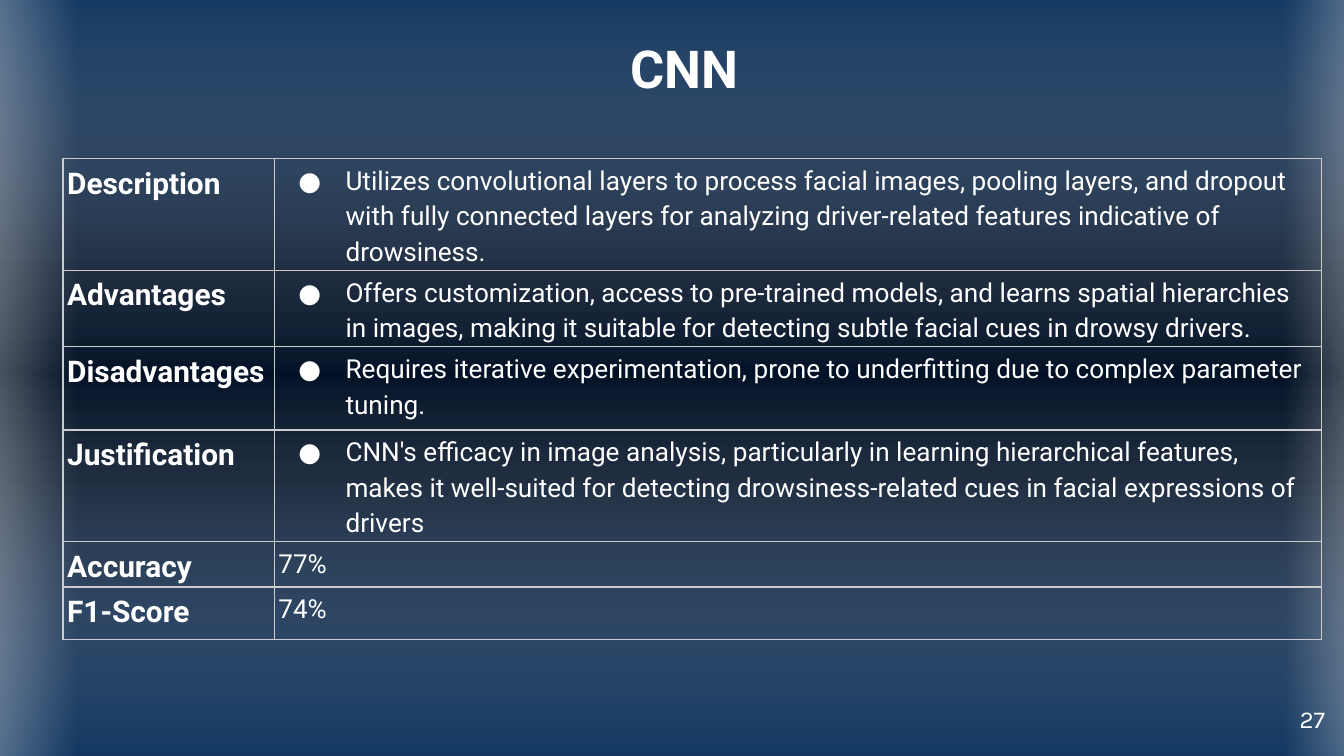
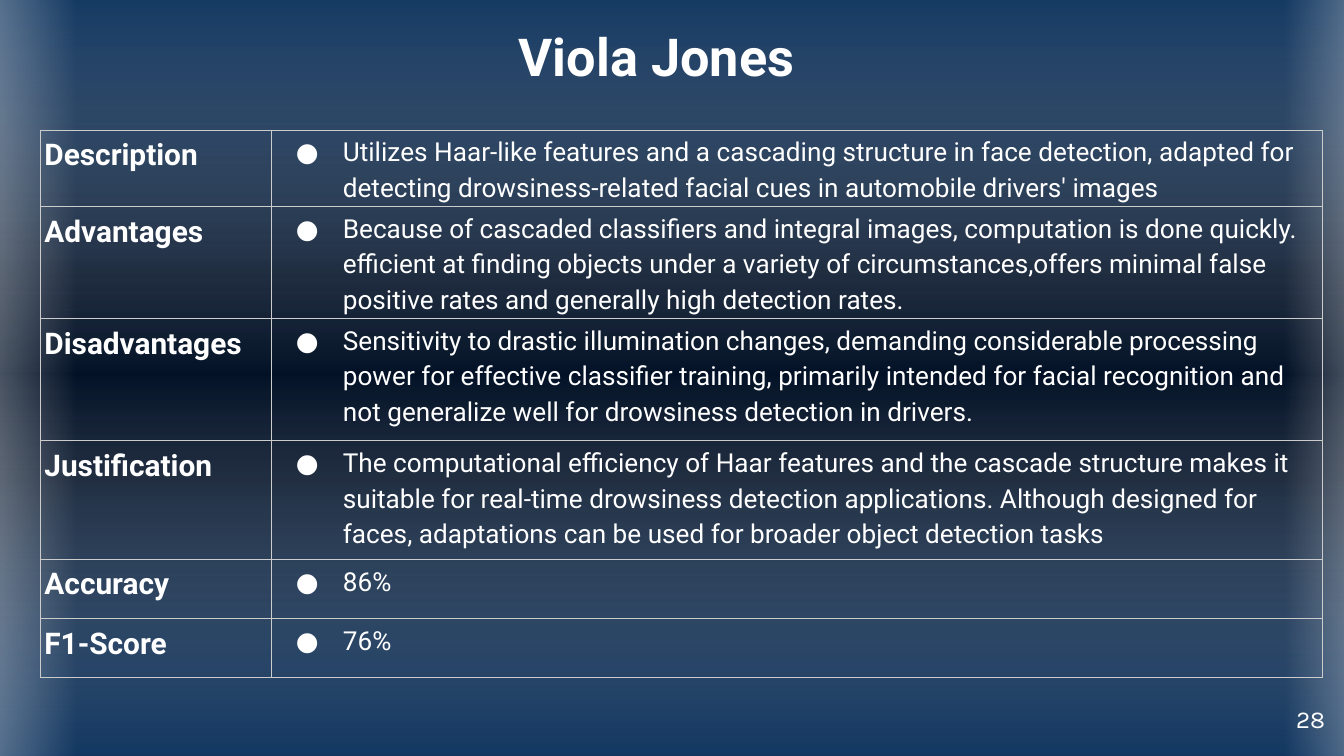
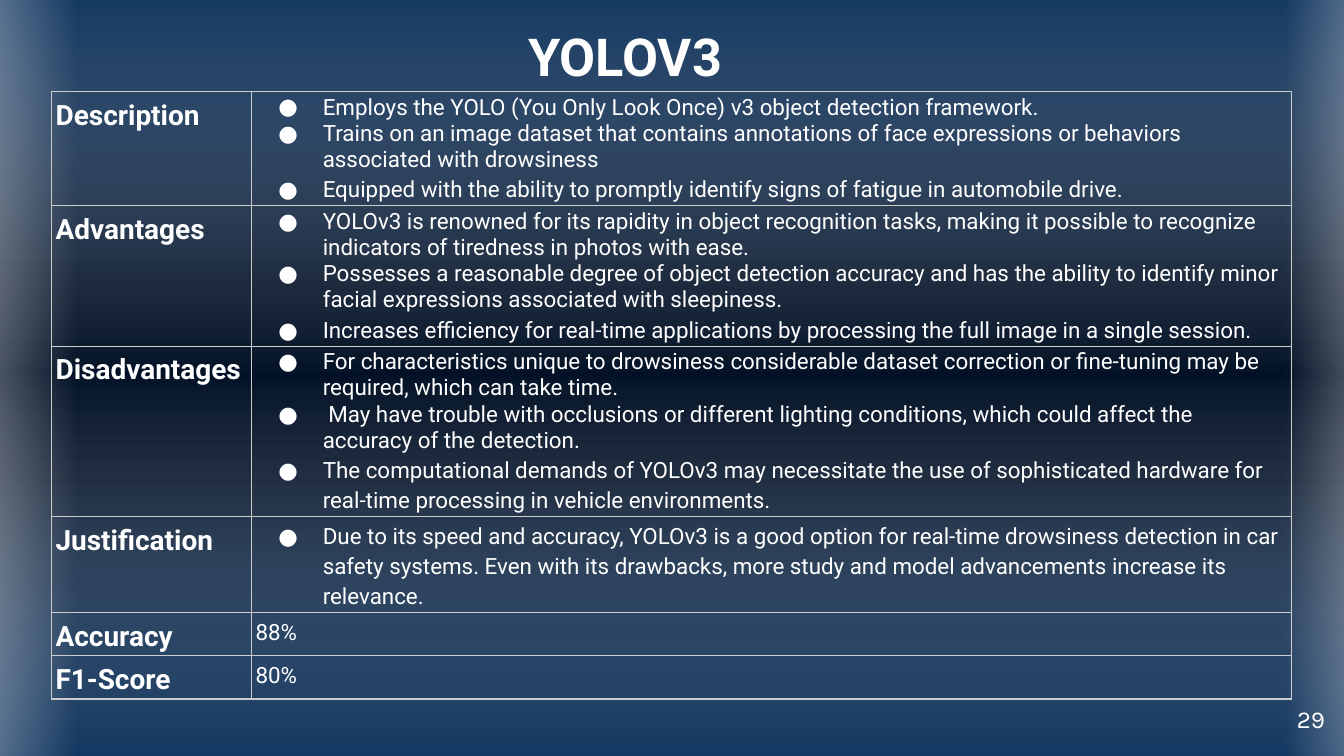
import dataclasses

import pptx
import pptx.dml.color
import pptx.enum.shapes
import pptx.enum.text
import pptx.oxml.ns
import pptx.oxml.xmlchemy
import pptx.util
from lxml import etree

Cm = pptx.util.Cm
Pt = pptx.util.Pt
qn = pptx.oxml.ns.qn
rgb = pptx.dml.color.RGBColor.from_string


@dataclasses.dataclass(frozen=True)
class Theme:
    white: str = "FFFFFF"
    blue: str = "10355F"
    night: str = "031126"
    rule: str = "CCCCCC"
    body_font: str = "Roboto"
    number_font: str = "Karla"
    title_size: float = 28
    number_size: float = 13
    rule_width: float = 0.67
    line_spacing: float = 1.15


@dataclasses.dataclass
class Method:
    """One classification method: its title, table geometry in cm, and table values."""
    title: str
    title_frame: tuple
    table_corner: tuple
    columns: tuple
    rows: tuple
    values: tuple
    label_size: float = 16
    value_size: float = 14
    hanging: float = 0.89


LABELS = ("Description", "Advantages", "Disadvantages", "Justification", "Accuracy", "F1-Score")
FIRST_NUMBER = 27

# A list is shown with bullets, a plain string without.
METHODS = (
    Method(
        title="CNN",
        title_frame=(11.66, 0.36, 2.97, 1.85),
        table_corner=(1.19, 3),
        columns=(3.99, 19.79),
        rows=(2.03, 0.99, 1.57, 1.32, 0.28, 0.99),
        values=(
            ["Utilizes convolutional layers to process facial images, pooling layers, and dropout "
             "with fully connected layers for analyzing driver-related features indicative of "
             "drowsiness."],
            ["Offers customization, access to pre-trained models, and learns spatial hierarchies "
             "in images, making it suitable for detecting subtle facial cues in drowsy drivers."],
            ["Requires iterative experimentation, prone to underfitting due to complex parameter "
             "tuning."],
            ["CNN's efficacy in image analysis, particularly in learning hierarchical features, "
             "makes it well-suited for detecting drowsiness-related cues in facial expressions of "
             "drivers"],
            "77%",
            "74%",
        ),
    ),
    Method(
        title="Viola Jones",
        title_frame=(9.55, 0.36, 5.92, 1.4),
        table_corner=(0.76, 2.46),
        columns=(4.37, 19.86),
        rows=(1.45, 2.11, 2.31, 2.24, 1.12, 1.12),
        values=(
            ["Utilizes Haar-like features and a cascading structure in face detection, adapted for "
             "detecting drowsiness-related facial cues in automobile drivers' images"],
            ["Because of cascaded classifiers and integral images, computation is done quickly. "
             "efficient at finding objects under a variety of circumstances,offers minimal false "
             "positive rates and generally high detection rates."],
            ["Sensitivity to drastic illumination changes, demanding considerable processing "
             "power for effective classifier training, primarily intended for facial recognition "
             "and not generalize well for drowsiness detection in drivers."],
            ["The computational efficiency of Haar features and the cascade structure makes it "
             "suitable for real-time drowsiness detection applications. Although designed for "
             "faces, adaptations can be used for broader object detection tasks"],
            ["86%"],
            ["76%"],
        ),
    ),
    Method(
        title="YOLOV3",
        title_frame=(9.73, 0, 4.83, 2.11),
        table_corner=(0.97, 1.73),
        columns=(3.78, 19.66),
        rows=(1.52, 2.46, 2.59, 1.22, 0.61, 0.61),
        label_size=15,
        value_size=12,
        hanging=0.84,
        values=(
            ["Employs the YOLO (You Only Look Once) v3 object detection framework.",
             "Trains on an image dataset that contains annotations of face expressions or "
             "behaviors associated with drowsiness",
             "Equipped with the ability to promptly identify signs of fatigue in automobile drive."],
            ["YOLOv3 is renowned for its rapidity in object recognition tasks, making it possible "
             "to recognize indicators of tiredness in photos with ease.",
             "Possesses a reasonable degree of object detection accuracy and has the ability to "
             "identify minor facial expressions associated with sleepiness.",
             "Increases efficiency for real-time applications by processing the full image in a "
             "single session."],
            ["For characteristics unique to drowsiness considerable dataset correction or "
             "fine-tuning may be required, which can take time.",
             " May have trouble with occlusions or different lighting conditions, which could "
             "affect the accuracy of the detection.",
             "The computational demands of YOLOv3 may necessitate the use of sophisticated "
             "hardware for real-time processing in vehicle environments."],
            ["Due to its speed and accuracy, YOLOv3 is a good option for real-time drowsiness "
             "detection in car safety systems. Even with its drawbacks, more study and model "
             "advancements increase its relevance."],
            "88%",
            "80%",
        ),
    ),
)


def add_child(parent, tag, **attributes):
    return etree.SubElement(parent, qn(tag), {key: str(value) for key, value in attributes.items()})


def add_color(parent, color, opacity=100):
    swatch = add_child(add_child(parent, "a:solidFill"), "a:srgbClr", val=color)
    if opacity < 100:
        add_child(swatch, "a:alpha", val=opacity * 1000)


def set_gradient(fill, element, stops, angle):
    """Fill with (position %, colour, opacity %) stops; element holds the fill."""
    fill.gradient()
    gradient = next(element.iter(qn("a:gradFill")))
    for child in list(gradient):
        gradient.remove(child)
    stop_list = add_child(gradient, "a:gsLst")
    for position, color, opacity in stops:
        stop = add_child(stop_list, "a:gs", pos=position * 1000)
        swatch = add_child(stop, "a:srgbClr", val=color)
        if opacity < 100:
            add_child(swatch, "a:alpha", val=opacity * 1000)
    add_child(gradient, "a:lin", ang=angle * 60000, scaled=0)


class Composer:
    def __init__(self, deck, theme):
        self.deck = deck
        self.theme = theme
        self.layout = deck.slide_layouts.get_by_name("Title Only")
        self.page = None

    def new_page(self):
        self.page = self.deck.slides.add_slide(self.layout)

    def style_spans(self, para, size, bold=False, font=None):
        for span in para.runs:
            span.font.name = font or self.theme.body_font
            span.font.size = Pt(size)
            span.font.bold = bold
            span.font.color.rgb = rgb(self.theme.white)

    def backdrop(self):
        """Give the shared layout its background and its three translucent bands."""
        theme = self.theme
        set_gradient(self.layout.background.fill, self.layout.element,
                     [(0, theme.blue, 100), (37, theme.night, 100),
                      (63, theme.night, 100), (100, theme.blue, 100)], 90)
        haze = [(0, theme.blue, 59), (50, theme.white, 0), (100, theme.blue, 59)]
        glow = [(0, theme.white, 47), (100, theme.white, 0)]
        bands = (((5.59, -5.92, 14.76, 25.93), 270, haze),
                 ((-1.04, -0.23, 2.49, 14.73), 180, glow),
                 ((24.28, -0.33, 2.16, 14.73), 0, glow))
        for index, (frame, rotation, stops) in enumerate(bands):
            band = self.band(frame, rotation, stops)
            self.layout.shapes.element.insert(2 + index, band.element)

    def band(self, frame, rotation, stops):
        band = self.page.shapes.add_shape(pptx.enum.shapes.MSO_SHAPE.RECTANGLE, *map(Cm, frame))
        band.rotation = rotation
        band.shadow.inherit = False
        band.line.fill.background()
        set_gradient(band.fill, band.element, stops, 180)
        return band

    def title(self, text, frame):
        box = self.page.shapes.title
        box.left, box.top, box.width, box.height = map(Cm, frame)
        text_frame = box.text_frame
        text_frame.text = text
        text_frame.auto_size = pptx.enum.text.MSO_AUTO_SIZE.NONE
        text_frame.vertical_anchor = pptx.enum.text.MSO_ANCHOR.MIDDLE
        para = text_frame.paragraphs[0]
        para.alignment = pptx.enum.text.PP_ALIGN.LEFT
        self.style_spans(para, self.theme.title_size, bold=True)

    def page_number(self, number):
        box = self.page.shapes.add_textbox(Cm(23.77), Cm(13.18), Cm(1.52), Cm(1.09))
        box.text_frame.word_wrap = True
        box.text_frame.text = str(number)
        para = box.text_frame.paragraphs[0]
        para.alignment = pptx.enum.text.PP_ALIGN.RIGHT
        self.style_spans(para, self.theme.number_size, font=self.theme.number_font)

    def bullet(self, para, hanging):
        properties = para._p.get_or_add_pPr()
        properties.set("marL", str(Cm(1.27)))
        properties.set("indent", str(-Cm(hanging)))
        add_child(add_child(properties, "a:buClr"), "a:srgbClr", val=self.theme.white)
        add_child(properties, "a:buFont", typeface=self.theme.body_font)
        add_child(properties, "a:buChar", char="●")

    def cell(self, cell, content, size, bold=False, hanging=0):
        cell.margin_left = cell.margin_right = Cm(0.08)
        cell.margin_top = cell.margin_bottom = Cm(0.05)
        bulleted = isinstance(content, list)
        cell.text_frame.text = "\n".join(content) if bulleted else content
        paras = cell.text_frame.paragraphs
        for para in paras:
            if bulleted:
                self.bullet(para, hanging)
            para.line_spacing = 1.0
            self.style_spans(para, size, bold)
        paras[-1].line_spacing = self.theme.line_spacing
        properties = cell._tc.get_or_add_tcPr()
        for side in ("a:lnL", "a:lnR", "a:lnT", "a:lnB"):
            add_color(add_child(properties, side, w=Pt(self.theme.rule_width)), self.theme.rule)
        cell.fill.background()

    def table(self, method):
        frame = self.page.shapes.add_table(
            len(method.rows), len(method.columns), *map(Cm, method.table_corner),
            Cm(sum(method.columns)), Cm(sum(method.rows)))
        table = frame.table
        table.first_row = table.horz_banding = False
        for column, width in zip(table.columns, method.columns):
            column.width = Cm(width)
        for index, (label, value) in enumerate(zip(LABELS, method.values)):
            table.rows[index].height = Cm(method.rows[index])
            self.cell(table.cell(index, 0), label, method.label_size, bold=True)
            self.cell(table.cell(index, 1), value, method.value_size, hanging=method.hanging)


def main():
    deck = pptx.Presentation()
    deck.slide_width, deck.slide_height = Cm(25.4), Cm(14.29)
    composer = Composer(deck, Theme())
    for number, method in enumerate(METHODS, FIRST_NUMBER):
        composer.new_page()
        if number == FIRST_NUMBER:
            composer.backdrop()
        composer.title(method.title, method.title_frame)
        composer.table(method)
        composer.page_number(number)
    deck.save("out.pptx")


if __name__ == "__main__":
    main()
